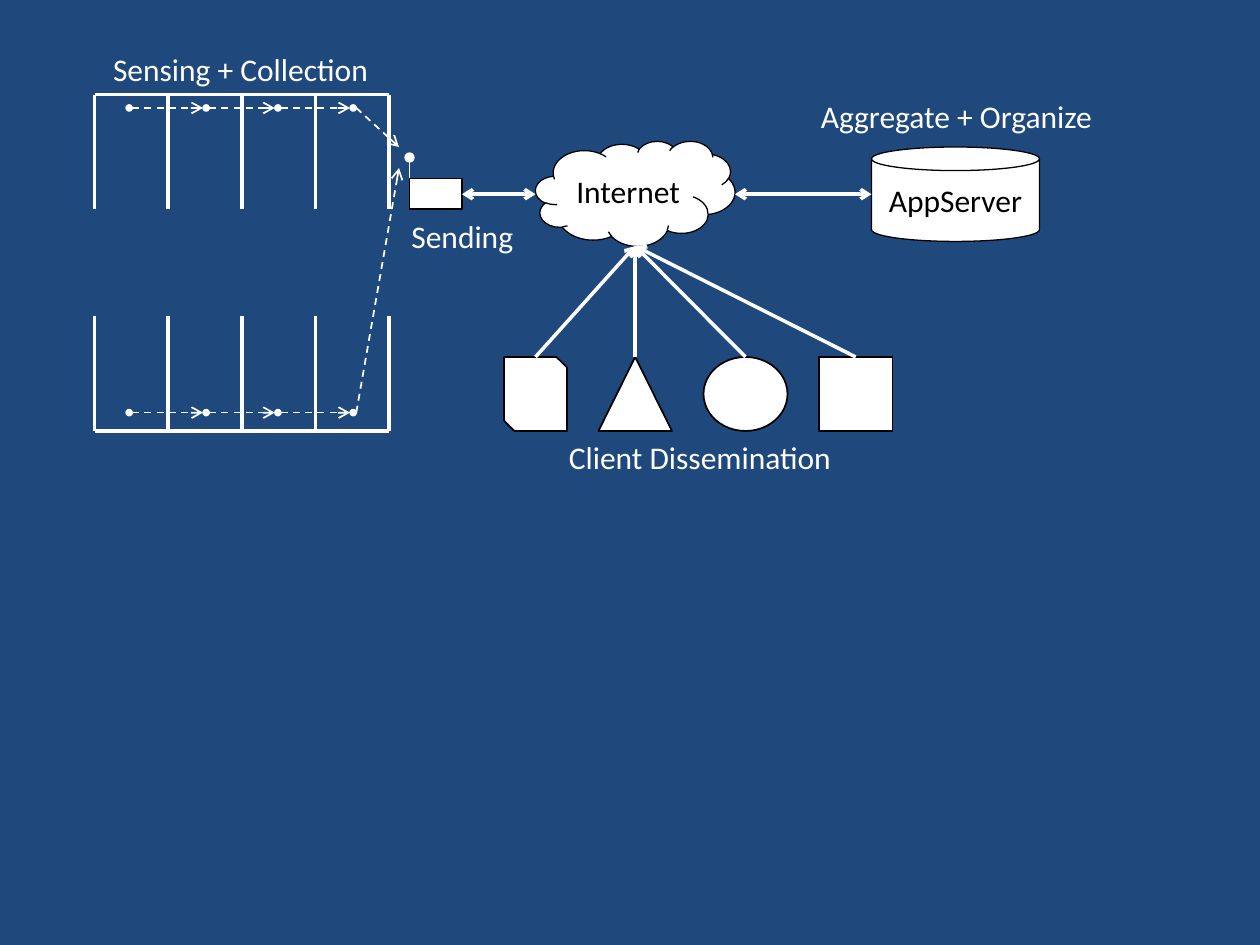
from itertools import pairwise

from lxml.etree import SubElement
from pptx import Presentation
from pptx.dml.color import RGBColor
from pptx.enum.dml import MSO_LINE_DASH_STYLE as Dash
from pptx.enum.shapes import MSO_CONNECTOR_TYPE as Connector, MSO_SHAPE as Shape
from pptx.enum.text import MSO_ANCHOR as Anchor, MSO_AUTO_SIZE as AutoSize, PP_ALIGN as Align
from pptx.oxml.ns import qn
from pptx.util import Pt

NAVY = RGBColor(0x1F, 0x49, 0x7D)
WHITE = RGBColor(0xFF, 0xFF, 0xFF)
BLACK = RGBColor(0x00, 0x00, 0x00)
FONT = "Calibri"
TEXT_SIZE = 18

STALL_LEFT, STALL_STEP, STALL_COUNT = 54, 42.1, 5
STALL_DEPTH = 65.5
SENSOR_LEFTS = (72, 116, 157, 200)
SENSOR_SIZE = 3.6
LINK_Y = 111
CLOUD_FOOT = (363, 140.6)
CLIENT_TOP, CLIENT_HEIGHT = 204, 42.3


def add_text(frame, text, color):
    para = frame.paragraphs[0]
    span = para.add_run()
    span.text = text
    span.font.name = FONT
    span.font.size = Pt(TEXT_SIZE)
    span.font.color.rgb = color
    return para


def add_line(page, start, end, width=2, dash=False, head=None, tail=None):
    line = page.shapes.add_connector(
        Connector.STRAIGHT, *(Pt(value) for value in (*start, *end)))
    line.line.color.rgb = WHITE
    line.line.width = Pt(width)
    if dash:
        line.line.dash_style = Dash.DASH
    outline = line.line._get_or_add_ln()
    for tag, kind in (("a:headEnd", head), ("a:tailEnd", tail)):
        if kind:
            SubElement(outline, qn(tag), type=kind)
    SubElement(line._element.spPr, qn("a:effectLst"))


def add_node(page, kind, left, top, width, height, outline=BLACK, weight=1, text=None):
    node = page.shapes.add_shape(kind, Pt(left), Pt(top), Pt(width), Pt(height))
    node.shadow.inherit = False
    node.fill.solid()
    node.fill.fore_color.rgb = WHITE
    node.line.color.rgb = outline
    node.line.width = Pt(weight)
    if text:
        node.text_frame.vertical_anchor = Anchor.MIDDLE
        add_text(node.text_frame, text, BLACK).alignment = Align.CENTER


def add_label(page, text, left, top, width):
    box = page.shapes.add_textbox(Pt(left), Pt(top), Pt(width), Pt(29))
    box.text_frame.word_wrap = False
    box.text_frame.auto_size = AutoSize.SHAPE_TO_FIT_TEXT
    add_text(box.text_frame, text, WHITE)


def add_stalls(page, top, wall):
    for index in range(STALL_COUNT):
        x = STALL_LEFT + index * STALL_STEP
        add_line(page, (x, top), (x, top + STALL_DEPTH))
    right = STALL_LEFT + (STALL_COUNT - 1) * STALL_STEP
    add_line(page, (right, wall), (STALL_LEFT, wall))


def add_sensors(page, y, target):
    for left in SENSOR_LEFTS:
        add_node(page, Shape.OVAL, left, y - SENSOR_SIZE / 2, SENSOR_SIZE, SENSOR_SIZE,
                 outline=WHITE, weight=0.75)
    for left, following in pairwise(SENSOR_LEFTS):
        add_line(page, (left + SENSOR_SIZE, y), (following, y), 1, dash=True, tail="arrow")
    add_line(page, (SENSOR_LEFTS[-1] + SENSOR_SIZE, y), target, 1, dash=True, tail="arrow")


def add_sender(page):
    add_line(page, (234, LINK_Y), (234, 90), 1, tail="oval")
    add_node(page, Shape.RECTANGLE, 234, 102, 30, 17.5)


def add_clients(page):
    clients = (
        (Shape.SNIP_2_DIAG_RECTANGLE, 288, 36, 306),
        (Shape.ISOSCELES_TRIANGLE, 342, 42, 363),
        (Shape.OVAL, 402, 48, 426),
        (Shape.RECTANGLE, 468, 42, 489),
    )
    for kind, left, width, start in clients:
        add_node(page, kind, left, CLIENT_TOP, width, CLIENT_HEIGHT)
        add_line(page, (start, CLIENT_TOP), CLOUD_FOOT, tail="arrow")


def main():
    deck = Presentation()
    deck.slide_width, deck.slide_height = Pt(720), Pt(540)
    page = deck.slides.add_slide(deck.slide_layouts[6])
    page.background.fill.solid()
    page.background.fill.fore_color.rgb = NAVY

    add_stalls(page, 54, wall=54)
    add_stalls(page, 180.7, wall=180.7 + STALL_DEPTH)
    add_sender(page)
    add_sensors(page, 61.7, target=(228, 84))
    add_sensors(page, 235.8, target=(228, 96))

    add_node(page, Shape.CLOUD, 306, 80.6, 114, 60, weight=0.75, text="Internet")
    add_node(page, Shape.CAN, 498, 84, 96, 54, weight=0.75, text="AppServer")
    for start, end in ((264, 306), (420, 498)):
        add_line(page, (start, LINK_Y), (end, LINK_Y), head="arrow", tail="arrow")
    add_clients(page)

    for label in (
        ("Client Dissemination", 318, 247, 165.6),
        ("Sensing + Collection", 57.5, 25.2, 162),
        ("Sending", 228, 120.2, 73.4),
        ("Aggregate + Organize", 462, 52, 171.4),
    ):
        add_label(page, *label)

    deck.save("out.pptx")


main()
